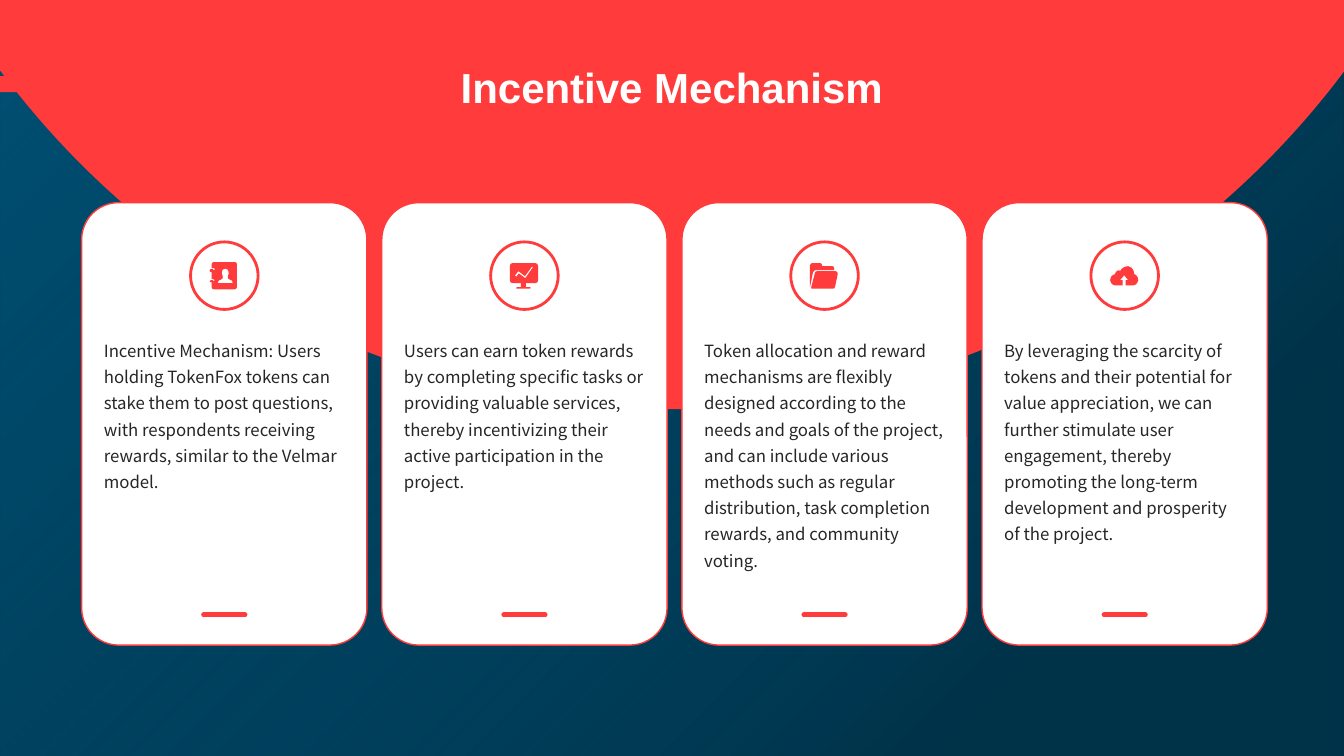
"""Build the incentive mechanism slide with four icon cards."""
from copy import deepcopy
from dataclasses import dataclass

from lxml import etree
from pptx import Presentation
from pptx import util as u
from pptx.dml.color import RGBColor
from pptx.enum import shapes, text
from pptx.oxml.ns import qn

COLOURS = {"navy": "003248", "teal": "005074", "red": "FF3B3B", "white": "FFFFFF", "ink": "262626"}
PAGE_WIDTH, PAGE_HEIGHT = 13.33, 7.5
FIRST_CARD, LAST_CARD = 0.81, 9.74
CARD_TOP, CARD_WIDTH, CARD_HEIGHT = 2.01, 2.83, 4.39

DOME = (
    "M 0 0 L 1333 0 L 1333 71 C 1181 274 939 406 667 406"
    " C 394 406 152 274 1 71 L 0 70"
)
CONTACTS = (
    "M 25 0 L 4 0 C 3 0 2 1 2 2 L 2 6 L 4 6 C 5 6 5 7 5 8 L 4 8 L 3 7 L 1 7"
    " C 0 7 0 8 0 9 L 1 10 L 2 10 L 2 17 L 4 17 C 5 17 5 18 5 18.5 L 4 19"
    " L 3 18 L 1 18 C 0 18 0 19 0 19.5 L 1 20 L 2 20 L 2 25 C 2 26 3 27 4 27"
    " L 25 27 C 26 27 27 26 27 25 L 27 2 C 27 1 26 0 25 0"
    " M 23 20.5 L 22 21 L 9 21 L 8 20.5 C 8 18 10 18 11 17.5"
    " C 13 16.5 13.5 16 13 14.5 C 12 13 12 12 12 11 C 12 8 13 6.5 15.5 6.5"
    " C 18 6.5 19 8 19 11 C 19 12 19 13 18 14.5 C 17.5 16 18 16.5 20 17.5"
    " C 21 18 23 18 23 20.5"
)
MONITOR = (
    "M 25 0 L 3 0 C 1 0 0 1 0 3 L 0 17 C 0 19 1 20 3 20 L 11 20 L 11 24"
    " L 7 24 C 6 24 6 25.5 7 25.5 L 20 25.5 C 21 25.5 21 24 20 24 L 16 24"
    " L 16 20 L 25 20 C 27 20 28 19 28 17 L 28 3 C 28 1 27 0 25 0"
    " M 23 4 L 15.3 15 L 9 10.3 L 6.5 13.5 L 5 12.5 L 8.5 8 L 15 13 L 22 3.5"
)
FOLDER = (
    "M 24 7 L 24 5 C 24 4 23 3 22 3 L 12 3 L 12 2 C 12 1 11 0 10 0 L 2 0"
    " C 1 0 0 1 0 2 L 0 24 L 3 9 C 4 7.5 5 7 6 7"
    " M 23 25.5 L 2 25.5 C 1 25.5 1 24.5 1.5 23 L 5 9.5 C 5.5 8.3 6 8 8 8"
    " L 25 8 C 27 8 28 9 27.5 11 L 25 23 C 24.5 25 24 25.5 23 25.5"
)
CLOUD = (
    "M 24 8 C 24 8 24 1 18 0 C 12 0 10 5 10 5 C 10 5 9 3 7 4.5 C 5 6 5 8 5 8"
    " C 5 8 0 9 0 14 C 1 19 5 19 5 19 L 12.5 19 L 12.5 14 L 10 14 L 14 9"
    " L 18 14 L 15.5 14 L 15.5 19 L 23 19 C 23 19 27 19 28 14 C 28 9 24 8 24 8"
)


@dataclass(frozen=True)
class Card:
    """Wording and icon of one card."""

    wording: str
    icon: str
    icon_top: float


CARDS = (
    Card(
        "Incentive Mechanism: Users holding TokenFox tokens can stake them to post "
        "questions, with respondents receiving rewards, similar to the Velmar model.",
        CONTACTS, 2.6),
    Card(
        "Users can earn token rewards by completing specific tasks or providing "
        "valuable services, thereby incentivizing their active participation in the project.",
        MONITOR, 2.61),
    Card(
        "Token allocation and reward mechanisms are flexibly designed according to "
        "the needs and goals of the project, and can include various methods such "
        "as regular distribution, task completion rewards, and community voting.",
        FOLDER, 2.61),
    Card(
        "By leveraging the scarcity of tokens and their potential for value "
        "appreciation, we can further stimulate user engagement, thereby promoting "
        "the long-term development and prosperity of the project.",
        CLOUD, 2.64),
)


def colour(name: str) -> RGBColor:
    """Return a named colour."""
    return RGBColor.from_string(COLOURS[name])


def paint(shape, fill: str = "", line: str = "", weight: float = 0) -> None:
    """Set fill and line, leaving out whichever is unnamed."""
    shape.shadow.inherit = False
    if fill:
        shape.fill.solid()
        shape.fill.fore_color.rgb = colour(fill)
    else:
        shape.fill.background()
    if line:
        shape.line.color.rgb = colour(line)
        shape.line.width = u.Pt(weight)
    else:
        shape.line.fill.background()


def add_preset(page, kind, left: float, top: float, width: float, height: float):
    """Add a preset shape measured in inches."""
    return page.shapes.add_shape(kind, *map(u.Inches, (left, top, width, height)))


def add_outline(page, outline: str, left: float, top: float) -> None:
    """Draw a red outline, with its curves, given in hundredths of an inch."""
    steps = []
    for command in outline.replace(" L", "|L").replace(" C", "|C").replace(" M", "|M").split("|"):
        numbers = [float(number) / 100 for number in command.split()[1:]]
        points = [(u.Inches(left + x), u.Inches(top + y))
                  for x, y in zip(numbers[::2], numbers[1::2])]
        steps.append((command[0], points))
    builder = page.shapes.build_freeform(*steps[0][1][0])
    for letter, points in steps[1:]:
        if letter == "M":
            builder.move_to(*points[0])
        else:
            builder.add_line_segments(points[-1:], close=False)
    shape = builder.convert_to_shape()
    paint(shape, "red")
    nodes = list(shape._element.spPr.find(".//" + qn("a:path")))
    for node, (letter, points) in zip(nodes, steps):
        if letter == "C":
            node.tag = qn("a:cubicBezTo")
            for x, y in reversed(points[:-1]):
                handle = etree.Element(qn("a:pt"), x=str(x - shape.left), y=str(y - shape.top))
                node.insert(0, handle)


def format_text(box, wording: str, font: str, size: float, ink: str):
    """Fill a text frame without insets and return its paragraph."""
    frame = box.text_frame
    frame.word_wrap = True
    frame.auto_size = text.MSO_AUTO_SIZE.NONE
    frame.margin_left = frame.margin_right = frame.margin_top = frame.margin_bottom = 0
    para = frame.paragraphs[0]
    para.text = wording
    para.font.name, para.font.size = font, u.Pt(size)
    para.font.color.rgb = colour(ink)
    return para


def add_backdrop(page) -> None:
    """Draw the gradient, the edge strip and the dome."""
    page.background.fill.solid()
    page.background.fill.fore_color.rgb = colour("navy")
    backdrop = add_preset(page, shapes.MSO_SHAPE.RECTANGLE, 0, 0, PAGE_WIDTH, PAGE_HEIGHT)
    paint(backdrop)
    backdrop.fill.gradient()
    backdrop.fill.gradient_angle = 135
    for stop, name, position in zip(backdrop.fill.gradient_stops, ("navy", "teal"), (0.18, 1)):
        stop.color.rgb, stop.position = colour(name), position
    last = backdrop._element.spPr.findall(".//" + qn("a:gs"))[-1]
    middle = deepcopy(last)
    middle.set("pos", "64000")
    etree.SubElement(middle[0], qn("a:alpha"), val="53000")
    last.addprevious(middle)
    strip = add_preset(page, shapes.MSO_SHAPE.RECTANGLE, 2.6, -1.85, 0.16, 5.37)
    strip.rotation = 270
    paint(strip, "red")
    add_outline(page, DOME, 0, 0)


def add_title(page) -> None:
    """Place the title above the backdrop."""
    title = page.shapes.title
    title.left, title.top, title.width, title.height = map(u.Inches, (0.76, 0.43, 11.81, 0.87))
    para = format_text(title, "Incentive Mechanism", "Arial", 30, "white")
    para.alignment, para.font.bold = text.PP_ALIGN.CENTER, True
    title.text_frame.vertical_anchor = text.MSO_ANCHOR.MIDDLE
    title._element.getparent().append(title._element)


def add_card(page, card: Card, left: float) -> None:
    """Draw one card with its text, ring, icon and dash."""
    panel = add_preset(
        page, shapes.MSO_SHAPE.ROUNDED_RECTANGLE, left, CARD_TOP, CARD_WIDTH, CARD_HEIGHT)
    panel.adjustments[0] = 0.13
    paint(panel, "white", "red", 1)
    box = page.shapes.add_textbox(*map(u.Inches, (left + 0.22, 3.32, 2.39, 2.72)))
    format_text(box, card.wording, "Noto Sans CJK SC", 12, "ink").line_spacing = 1.3
    ring = add_preset(page, shapes.MSO_SHAPE.OVAL, left + 1.08, 2.4, 0.67, 0.67)
    paint(ring, line="red", weight=2)
    add_outline(page, card.icon, left + 1.27, card.icon_top)
    dash = page.shapes.add_connector(
        shapes.MSO_CONNECTOR.STRAIGHT, *map(u.Inches, (left + 1.21, 6.1, left + 1.62, 6.1)))
    dash.line.color.rgb, dash.line.width = colour("red"), u.Pt(3.5)
    dash.line._get_or_add_ln().set("cap", "rnd")
    etree.SubElement(dash._element.spPr, qn("a:effectLst"))


def main() -> None:
    """Build and save the deck."""
    deck = Presentation()
    deck.slide_width, deck.slide_height = u.Inches(PAGE_WIDTH), u.Inches(PAGE_HEIGHT)
    page = deck.slides.add_slide(deck.slide_layouts[5])
    add_backdrop(page)
    add_title(page)
    pitch = (LAST_CARD - FIRST_CARD) / (len(CARDS) - 1)
    for index, card in enumerate(CARDS):
        add_card(page, card, FIRST_CARD + index * pitch)
    deck.save("out.pptx")


if __name__ == "__main__":
    main()
